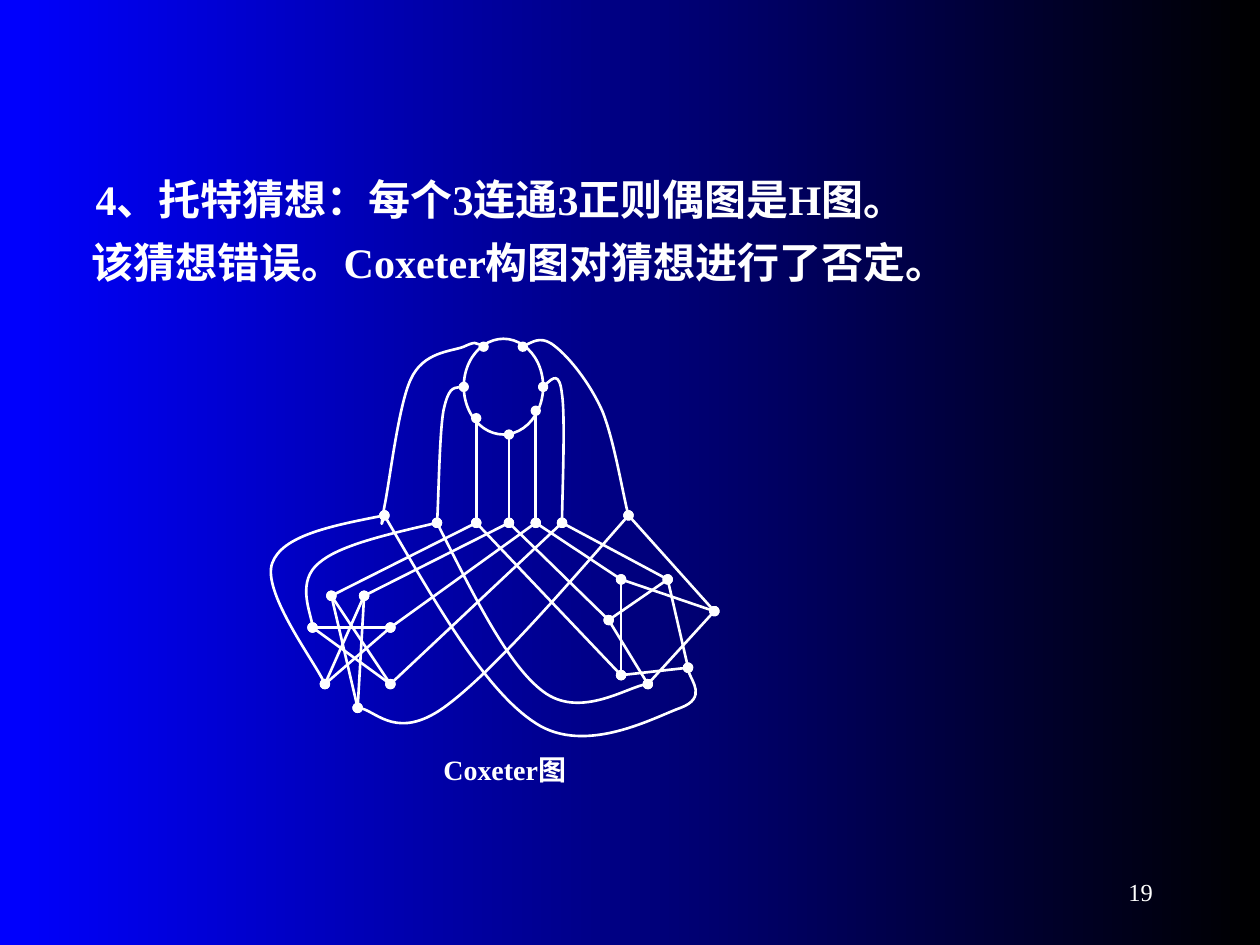
from lxml import etree
from pptx import Presentation
from pptx import util as u
from pptx.dml.color import RGBColor
from pptx.enum import shapes, text
from pptx.oxml.ns import qn

WHITE = RGBColor(0xFF, 0xFF, 0xFF)
BLUE = RGBColor(0x00, 0x00, 0xFF)
BLACK = RGBColor(0x00, 0x00, 0x00)
FONT = "Times New Roman"

NODES = {
    "ring_top_left": (4.5, 0.24), "ring_top_right": (5.29, 0.24),
    "ring_left": (4.1, 1.05), "ring_right": (5.7, 1.05),
    "ring_low_left": (4.35, 1.68), "ring_low_right": (5.55, 1.53),
    "ring_bottom": (5.01, 2.01),
    "hub1": (2.5, 3.64), "hub2": (3.56, 3.79), "hub3": (4.35, 3.79),
    "hub4": (5.01, 3.79), "hub5": (5.55, 3.79), "hub6": (6.08, 3.79),
    "hub7": (7.42, 3.64),
    "star_top_left": (1.43, 5.26), "star_top_right": (2.09, 5.26),
    "star_left": (1.05, 5.9), "star_right": (2.62, 5.9),
    "star_low_left": (1.3, 7.04), "star_low_right": (2.62, 7.04),
    "star_bottom": (1.96, 7.52),
    "loop_top_left": (7.27, 4.93), "loop_top_right": (8.21, 4.93),
    "loop_left": (7.02, 5.75), "loop_right": (9.15, 5.57),
    "loop_low_left": (7.27, 6.86), "loop_low_right": (8.62, 6.71),
    "loop_bottom": (7.81, 7.04),
}

STRAIGHT_EDGES = {
    "ring_bottom": ["hub4"],
    "ring_low_left": ["hub3"],
    "ring_low_right": ["hub5"],
    "star_top_right": ["star_low_left", "star_bottom"],
    "star_top_left": ["star_low_right", "star_bottom"],
    "star_left": ["star_right", "star_low_right"],
    "star_right": ["star_low_left"],
    "loop_top_right": ["loop_left", "loop_low_right"],
    "loop_left": ["loop_bottom"],
    "loop_top_left": ["loop_low_left", "loop_right"],
    "loop_low_left": ["loop_low_right"],
    "loop_right": ["loop_bottom"],
    "hub3": ["star_top_left", "loop_low_left"],
    "hub4": ["star_top_right", "loop_left"],
    "hub5": ["star_right", "loop_top_left"],
    "hub6": ["star_low_right", "loop_top_right"],
    "hub7": ["loop_right"],
}

CURVED_EDGES = [
    ("ring_top_left", "hub1",
     [(4.4, 0.18), (4.33, 0.13), (4.1, 0.24), (3.84, 0.34), (3.28, 0.34), (3.03, 0.9),
      (2.78, 1.43), (2.6, 3), (2.5, 3.46), (2.42, 3.94), (2.45, 3.79)]),
    ("ring_top_right", "hub7",
     [(5.49, 0.13), (5.7, 0.03), (5.95, 0.24), (6.23, 0.46), (6.64, 0.97), (6.89, 1.53),
      (7.12, 2.09), (7.32, 3.28)]),
    ("ring_left", "hub2",
     [(3.94, 1.05), (3.79, 1.07), (3.69, 1.53), (3.61, 1.99), (3.59, 3.41)]),
    ("ring_right", "hub6",
     [(5.85, 0.9), (6.03, 0.74), (6.08, 1.2), (6.15, 1.66), (6.08, 3.36)]),
    ("hub7", "star_bottom",
     [(6, 5.26), (4.61, 6.86), (3.69, 7.52), (2.78, 8.16), (2.27, 7.52)]),
    ("hub2", "star_left",
     [(2.57, 4.02), (1.58, 4.25), (1.18, 4.6), (0.74, 4.96), (1.05, 5.7)]),
    ("hub1", "star_low_left",
     [(1.48, 3.84), (0.44, 4.05), (0.24, 4.6), (0.03, 5.16), (1.13, 6.64)]),
    ("hub2", "loop_bottom",
     [(4.28, 5.21), (4.99, 6.66), (5.7, 7.19), (6.41, 7.73), (7.45, 7.07)]),
    ("hub1", "loop_low_right",
     [(3.54, 5.42), (4.55, 7.19), (5.55, 7.83), (6.56, 8.49), (7.96, 7.7), (8.47, 7.52),
      (9, 7.32), (8.59, 6.84)]),
]


def set_background(slide):
    fill = slide.background.fill
    fill.gradient()
    fill.gradient_angle = 0
    for stop, position, color in zip(fill.gradient_stops, (0, 1), (BLUE, BLACK)):
        stop.position = position
        stop.color.rgb = color


def add_text(parent, box, words, size, bold=True, alignment=text.PP_ALIGN.LEFT,
             anchor=text.MSO_ANCHOR.TOP, space_before=0):
    textbox = parent.add_textbox(*(u.Cm(length) for length in box))
    frame = textbox.text_frame
    frame.word_wrap = True
    frame.vertical_anchor = anchor
    paragraph = frame.paragraphs[0]
    paragraph.alignment = alignment
    paragraph.space_before = u.Pt(space_before)
    run = paragraph.add_run()
    run.text = words
    run.font.name = FONT
    run.font.size = u.Pt(size)
    run.font.bold = bold
    run.font.color.rgb = WHITE


def style_outline(shape):
    shape.line.color.rgb = WHITE
    shape.line.width = u.Pt(1.5)


def add_dot_ends(shape):
    outline = shape._element.spPr.find(qn("a:ln"))
    for end in ("a:headEnd", "a:tailEnd"):
        etree.SubElement(outline, qn(end), type="oval")


def add_straight_edge(parent, start, end):
    connector = parent.add_connector(shapes.MSO_CONNECTOR.STRAIGHT, *start, *end)
    style_outline(connector)
    add_dot_ends(connector)
    etree.SubElement(connector._element.spPr, qn("a:effectLst"))


def add_curved_edge(parent, start, controls, end):
    builder = parent.build_freeform(*start)
    builder.add_line_segments([*controls, end], close=False)
    curve = builder.convert_to_shape()
    curve.shadow.inherit = False
    curve.fill.background()
    style_outline(curve)
    add_dot_ends(curve)
    segments = list(curve._element.iter(qn("a:lnTo")))
    for index in range(0, len(segments), 3):
        bezier = etree.Element(qn("a:cubicBezTo"))
        segments[index].addprevious(bezier)
        for segment in segments[index:index + 3]:
            bezier.append(segment[0])
            segment.getparent().remove(segment)


def add_statement(slide, left, top, width):
    lines = ["4、托特猜想：每个3连通3正则偶图是H图。",
             "该猜想错误。Coxeter构图对猜想进行了否定。"]
    for row, words in enumerate(lines):
        box = (left - 0.08 * row, top + 1.27 * row, width, 1.27)
        add_text(slide.shapes, box, words, 24, space_before=15)


def add_coxeter_graph(slide, left, top):
    parent = slide.shapes.add_group_shape().shapes

    def place(point):
        return u.Cm(left + point[0]), u.Cm(top + point[1])

    ring = parent.add_shape(shapes.MSO_SHAPE.OVAL, *place((4.1, 0.08)), u.Cm(1.6), u.Cm(1.93))
    ring.shadow.inherit = False
    ring.fill.background()
    style_outline(ring)
    for start, ends in STRAIGHT_EDGES.items():
        for end in ends:
            add_straight_edge(parent, place(NODES[start]), place(NODES[end]))
    for start, end, controls in CURVED_EDGES:
        add_curved_edge(parent, place(NODES[start]), [place(point) for point in controls],
                        place(NODES[end]))
    add_text(parent, (left + 3.44, top + 8.29, 3.63, 0.94), "Coxeter图", 16,
             alignment=text.PP_ALIGN.JUSTIFY)


def add_page_number(slide, left, top, width, height):
    add_text(slide.shapes, (left, top, width, height), "19", 14, bold=False,
             alignment=text.PP_ALIGN.RIGHT, anchor=text.MSO_ANCHOR.MIDDLE)


def main():
    presentation = Presentation()
    presentation.slide_width = u.Cm(25.4)
    presentation.slide_height = u.Cm(19.05)
    slide = presentation.slides.add_slide(presentation.slide_layouts[6])
    set_background(slide)
    add_page_number(slide, 18.21, 17.35, 5.28, 1.27)
    add_statement(slide, 1.68, 3.38, 21.2)
    add_coxeter_graph(slide, 5.25, 6.75)
    presentation.save("out.pptx")


if __name__ == "__main__":
    main()
